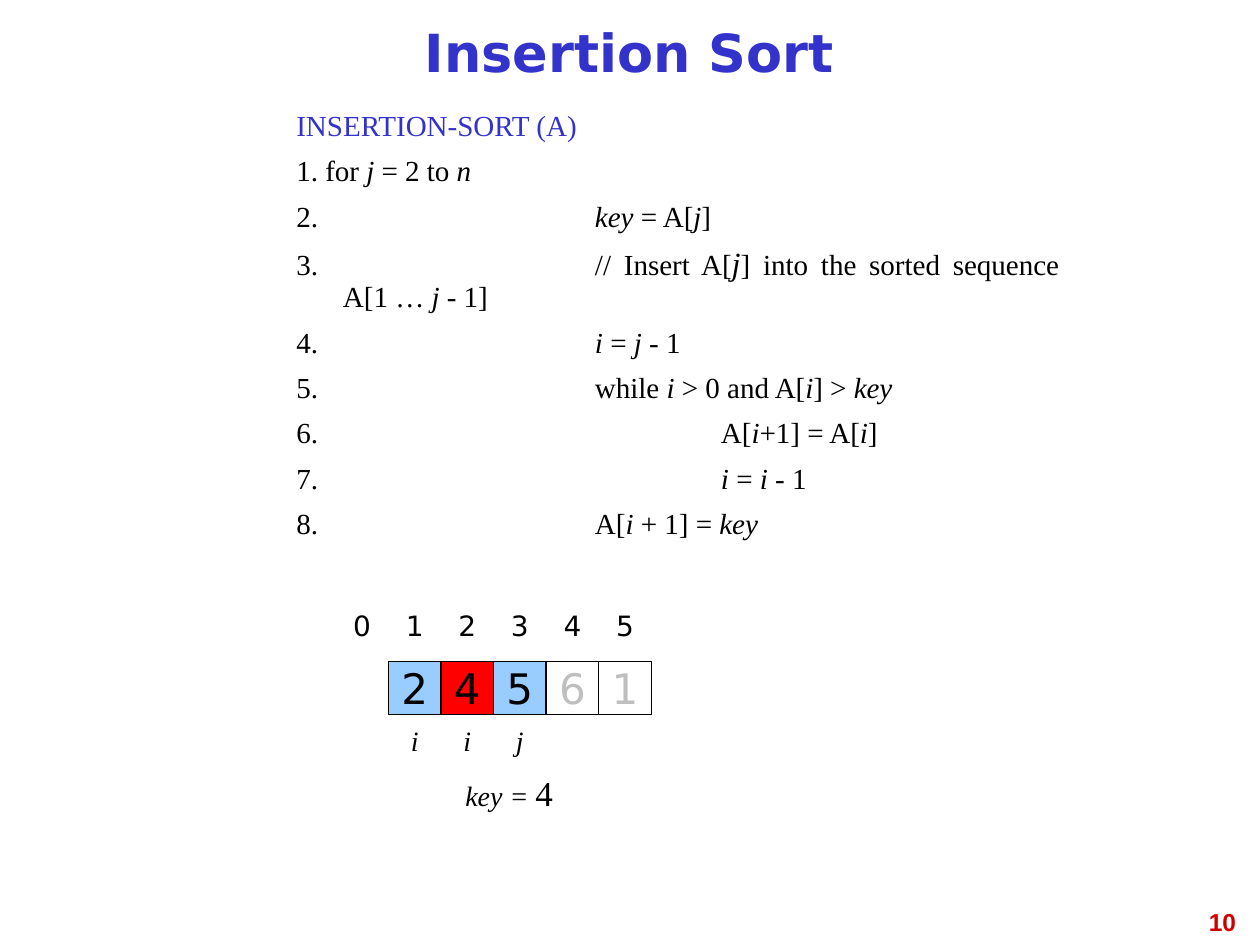
from dataclasses import dataclass

from lxml import etree
from pptx import Presentation
from pptx import util as u
from pptx.dml.color import RGBColor
from pptx.enum import shapes, text
from pptx.oxml import ns


@dataclass(frozen=True)
class Theme:
    sans: str = "DejaVu Sans"
    serif: str = "Times New Roman"
    number_font: str = "Arial"
    accent: str = "3333CC"
    ink: str = "000000"
    faded: str = "BFBFBF"
    sorted_fill: str = "99CCFF"
    key_fill: str = "FF0000"
    page: str = "CC0000"
    title_size: float = 30
    code_size: float = 16.6
    large_code_size: float = 18.5
    cell_size: float = 24
    key_size: float = 20
    label_size: float = 16
    page_size: float = 14


def write(paragraph, content, *, font, size, color, bold=False, italic=False):
    """Append runs; text between asterisks has its italic switched."""
    for index, part in enumerate(content.split("*")):
        if part:
            run = paragraph.add_run()
            run.text = part
            run.font.name = font
            run.font.size = u.Pt(size)
            run.font.bold = bold
            run.font.italic = italic != (index % 2 == 1)
            run.font.color.rgb = RGBColor.from_string(color)


class SlideBuilder:
    def __init__(self, slide, theme):
        self.slide = slide
        self.theme = theme

    def place(self, shape, left, top, width, height):
        shape.left, shape.top = u.Cm(left), u.Cm(top)
        shape.width, shape.height = u.Cm(width), u.Cm(height)
        shape.text_frame.auto_size = text.MSO_AUTO_SIZE.NONE

    def title(self, content, *box):
        shape = self.slide.shapes.title
        self.place(shape, *box)
        shape.text_frame.vertical_anchor = text.MSO_ANCHOR.MIDDLE
        paragraph = shape.text_frame.paragraphs[0]
        paragraph.alignment = text.PP_ALIGN.CENTER
        paragraph.line_spacing = 0.81
        write(paragraph, content, font=self.theme.sans,
              size=self.theme.title_size, color=self.theme.accent, bold=True)

    def code(self, heading, lines, *box):
        """Fill the body with pseudocode and return its paragraphs."""
        shape = self.slide.placeholders[1]
        self.place(shape, *box)
        frame = shape.text_frame
        for index, line in enumerate([heading, *lines]):
            paragraph = frame.add_paragraph() if index else frame.paragraphs[0]
            paragraph.alignment = text.PP_ALIGN.JUSTIFY
            paragraph.line_spacing = 0.9
            paragraph.space_before = u.Pt(8)
            self.set_indent(paragraph, hanging=0.94, tab=2.54)
            write(paragraph, line, font=self.theme.serif,
                  size=self.theme.code_size,
                  color=self.theme.ink if index else self.theme.accent)
        return frame.paragraphs

    def set_indent(self, paragraph, hanging, tab):
        """Hang the first line without a bullet and set the default tab step."""
        properties = paragraph._p.get_or_add_pPr()
        properties.set("marL", str(u.Cm(hanging)))
        properties.set("indent", str(-u.Cm(hanging)))
        properties.set("defTabSz", str(u.Cm(tab)))
        etree.SubElement(properties, ns.qn("a:buNone"))

    def label(self, content, *box, align=text.PP_ALIGN.CENTER,
              anchor=text.MSO_ANCHOR.MIDDLE, **style):
        shape = self.slide.shapes.add_textbox(0, 0, 0, 0)
        self.place(shape, *box)
        shape.text_frame.word_wrap = False
        return self.fill_text(shape, content, align, anchor, style)

    def cell(self, content, *box, fill, color):
        shape = self.slide.shapes.add_shape(
            shapes.MSO_SHAPE.RECTANGLE, 0, 0, 0, 0)
        self.place(shape, *box)
        shape.shadow.inherit = False
        shape.line.color.rgb = RGBColor.from_string(self.theme.ink)
        shape.line.width = u.Pt(0.75)
        if fill:
            shape.fill.solid()
            shape.fill.fore_color.rgb = RGBColor.from_string(fill)
        else:
            shape.fill.background()
        shape.text_frame.word_wrap = False
        style = dict(font=self.theme.sans, size=self.theme.cell_size, color=color)
        self.fill_text(shape, content, text.PP_ALIGN.CENTER,
                       text.MSO_ANCHOR.MIDDLE, style)

    def fill_text(self, shape, content, align, anchor, style):
        shape.text_frame.vertical_anchor = anchor
        paragraph = shape.text_frame.paragraphs[0]
        paragraph.alignment = align
        write(paragraph, content, **style)
        return paragraph


def main():
    theme = Theme()
    presentation = Presentation()
    presentation.slide_width, presentation.slide_height = u.Cm(25.4), u.Cm(19.05)
    slide = presentation.slides.add_slide(presentation.slide_layouts[1])
    builder = SlideBuilder(slide, theme)

    builder.title("Insertion Sort", 1.27, 0.2, 22.83, 1.9)
    paragraphs = builder.code("INSERTION-SORT (A)", [
        "1. for *j* = 2 to *n*",
        "2.\t\t\t*key* = A[*j*]",
        "3.\t\t\t// Insert A[*j*] into the sorted sequence A[1 … *j *- 1]",
        "4.\t\t\t*i* = *j *- 1",
        "5.\t\t\twhile *i* > 0 and A[*i*] > *key*",
        "6.\t\t\t\tA[*i*+1] = A[*i*]",
        "7.\t\t\t\t*i* = *i *- 1",
        "8.\t\t\tA[*i *+ 1] = *key*",
    ], 5.72, 2.12, 15.88, 9.95)
    paragraphs[3].runs[1].font.size = u.Pt(theme.large_code_size)

    side = 1.06
    array_left, index_top, array_top, pointer_top = 7.83, 12.07, 13.34, 14.4
    index_style = dict(font=theme.sans, size=theme.label_size, color=theme.ink)
    pointer_style = dict(font=theme.serif, size=theme.label_size,
                         color=theme.ink, italic=True)

    for index in range(6):
        builder.label(str(index), array_left + (index - 1) * side, index_top,
                      side, side, **index_style)

    cells = [
        ("2", theme.sorted_fill, theme.ink),
        ("4", theme.key_fill, theme.ink),
        ("5", theme.sorted_fill, theme.ink),
        ("6", None, theme.faded),
        ("1", None, theme.faded),
    ]
    for column, (value, fill, color) in enumerate(cells):
        builder.cell(value, array_left + column * side, array_top, side, side,
                     fill=fill, color=color)

    for column, pointer in enumerate("iij"):
        builder.label(pointer, array_left + column * side, pointer_top,
                      side, side, **pointer_style)

    key = builder.label("key = ", 9.1, 15.45, 2.33, side, **pointer_style)
    write(key, "4", font=theme.serif, size=theme.key_size, color=theme.ink)

    builder.label("10", 19.25, 18.16, 5.92, 0.89, align=text.PP_ALIGN.RIGHT,
                  anchor=text.MSO_ANCHOR.TOP, font=theme.number_font,
                  size=theme.page_size, color=theme.page, bold=True)

    presentation.save("out.pptx")


if __name__ == "__main__":
    main()
